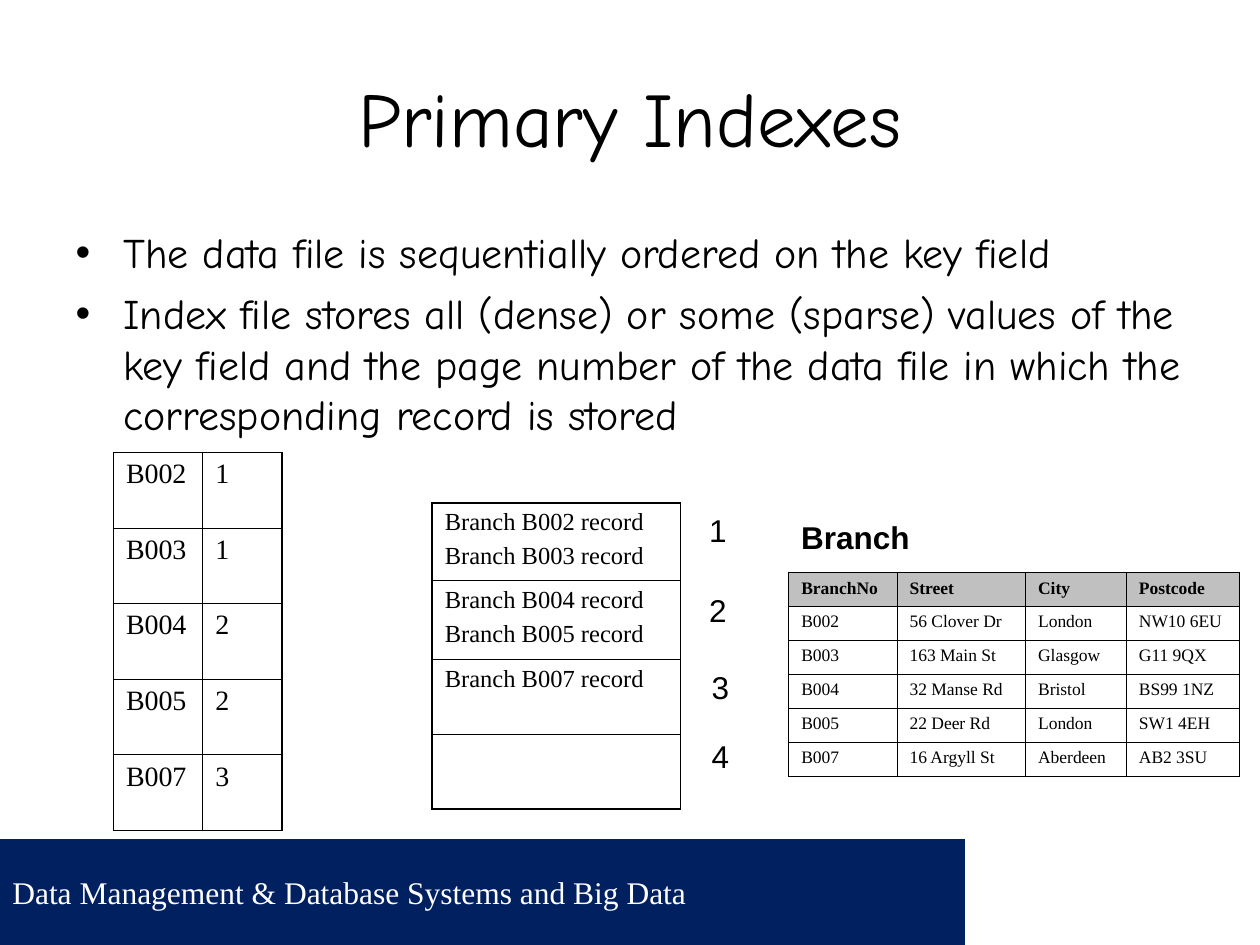
from lxml.etree import SubElement
from pptx import Presentation
from pptx.dml.color import RGBColor
from pptx.enum.shapes import MSO_SHAPE
from pptx.enum.text import MSO_ANCHOR, MSO_AUTO_SIZE, PP_ALIGN
from pptx.oxml.ns import qn
from pptx.util import Inches, Pt

NAVY = RGBColor(0x00, 0x20, 0x60)
WHITE = RGBColor(0xFF, 0xFF, 0xFF)
BLACK = RGBColor(0x00, 0x00, 0x00)
GREY = RGBColor(0xC0, 0xC0, 0xC0)
HEADING_FONT = "Comic Neue"
TABLE_FONT = "Times New Roman"
LABEL_FONT = "Arial"


def format_text(frame, font_name, size, color=BLACK, bold=False, space_before=0):
    for para in frame.paragraphs:
        para.space_before = Pt(space_before)
        for span in para.runs:
            span.font.name = font_name
            span.font.size = Pt(size)
            span.font.bold = bold
            span.font.color.rgb = color


def place(shape, left, top, width, height):
    shape.left, shape.top = Inches(left), Inches(top)
    shape.width, shape.height = Inches(width), Inches(height)


def add_heading(page, left, top, width, height):
    title = page.shapes.title
    place(title, left, top, width, height)
    frame = title.text_frame
    frame.text = "Primary Indexes"
    frame.auto_size = MSO_AUTO_SIZE.NONE
    frame.vertical_anchor = MSO_ANCHOR.MIDDLE
    frame.paragraphs[0].alignment = PP_ALIGN.CENTER
    format_text(frame, HEADING_FONT, 44)


def add_points(page, left, top, width, height):
    body = page.placeholders[1]
    place(body, left, top, width, height)
    frame = body.text_frame
    frame.text = "\n".join([
        "The data file is sequentially ordered on the key field",
        "Index file stores all (dense) or some (sparse) values of the key field "
        "and the page number of the data file in which the corresponding record is stored",
    ])
    frame.auto_size = MSO_AUTO_SIZE.NONE
    format_text(frame, HEADING_FONT, 24, space_before=6)
    for para in frame.paragraphs:
        properties = para._p.get_or_add_pPr()
        properties.set("marL", str(Inches(0.38)))
        properties.set("indent", str(Inches(-0.38)))
        SubElement(properties, qn("a:buFont"), typeface=LABEL_FONT)
        SubElement(properties, qn("a:buChar"), char="•")


def add_block(page, color, left, top, width, height):
    block = page.shapes.add_shape(
        MSO_SHAPE.RECTANGLE, Inches(left), Inches(top), Inches(width), Inches(height))
    block.shadow.inherit = False
    block.fill.solid()
    block.fill.fore_color.rgb = color
    block.line.fill.background()
    frame = block.text_frame
    frame.vertical_anchor = MSO_ANCHOR.MIDDLE
    frame.paragraphs[0].alignment = PP_ALIGN.LEFT
    return frame


def add_footer(page, left, top, width, height):
    frame = add_block(page, NAVY, left, top, width, height)
    frame.text = "Data Management & Database Systems and Big Data"
    frame.paragraphs[0].alignment = PP_ALIGN.LEFT
    format_text(frame, TABLE_FONT, 18, WHITE)
    corner = 2.34
    add_block(page, WHITE, left + width - corner, top, corner, height)


def set_borders(cell, widths):
    properties = cell._tc.get_or_add_tcPr()
    for position, (side, width) in enumerate(zip("LRTB", widths)):
        line = SubElement(properties, qn(f"a:ln{side}"), w=str(Pt(width)))
        fill = SubElement(line, qn("a:solidFill"))
        SubElement(fill, qn("a:srgbClr"), val=str(BLACK))
        properties.insert(position, line)


def add_grid(page, left, top, columns, heights, rows, size,
             space_before=0, inner=0.45, outer=1.08, header=False):
    frame = page.shapes.add_table(
        len(rows), len(columns), Inches(left), Inches(top),
        Inches(sum(columns)), Inches(sum(heights)))
    table = frame.table
    table.first_row = header
    table.horz_banding = False
    for column, width in zip(table.columns, columns):
        column.width = Inches(width)
    last_row, last_column = len(rows) - 1, len(columns) - 1
    for row_index, (values, height) in enumerate(zip(rows, heights)):
        table.rows[row_index].height = Inches(height)
        is_header = header and row_index == 0
        for column_index, value in enumerate(values):
            cell = table.cell(row_index, column_index)
            cell.text = value
            cell.vertical_anchor = MSO_ANCHOR.MIDDLE if is_header else MSO_ANCHOR.TOP
            format_text(cell.text_frame, TABLE_FONT, size,
                        bold=is_header, space_before=space_before)
            if header:
                cell.fill.solid()
                cell.fill.fore_color.rgb = GREY if is_header else WHITE
            else:
                cell.fill.background()
            edges = (column_index == 0, column_index == last_column,
                     row_index == 0, row_index == last_row)
            set_borders(cell, [outer if edge else inner for edge in edges])


def add_index_table(page, left, top):
    rows = [("B002", "1"), ("B003", "1"), ("B004", "2"), ("B005", "2"), ("B007", "3")]
    add_grid(page, left, top, [0.71, 0.63], [0.6] * 5, rows, 16, space_before=4)


def add_data_file(page, left, top):
    pages = [("B002", "B003"), ("B004", "B005"), ("B007",), ()]
    rows = [["\n".join(f"Branch {key} record" for key in keys)] for keys in pages]
    add_grid(page, left, top, [1.97], [0.62, 0.62, 0.6, 0.59], rows, 14, space_before=3.5)
    offsets = [(2.1, 0.02), (2.1, 0.65), (2.12, 1.26), (2.12, 1.81)]
    for number, (across, down) in enumerate(offsets, 1):
        box = page.shapes.add_textbox(
            Inches(left + across), Inches(top + down), Inches(0.34), Inches(0.4))
        box.text_frame.text = str(number)
        box.text_frame.word_wrap = False
        format_text(box.text_frame, LABEL_FONT, 18)


def add_branch_table(page, left, top):
    label = add_block(page, WHITE, left, top, 1.06, 0.4)
    label.text = "Branch"
    label.paragraphs[0].alignment = PP_ALIGN.LEFT
    format_text(label, LABEL_FONT, 18, bold=True)
    rows = [
        ("BranchNo", "Street", "City", "Postcode"),
        ("B002", "56 Clover Dr", "London", "NW10 6EU"),
        ("B003", "163 Main St", "Glasgow", "G11 9QX"),
        ("B004", "32 Manse Rd", "Bristol", "BS99 1NZ"),
        ("B005", "22 Deer Rd", "London", "SW1 4EH"),
        ("B007", "16 Argyll St", "Aberdeen", "AB2 3SU"),
    ]
    add_grid(page, left, top + 0.48, [0.86, 1.02, 0.8, 0.9], [0.27] * 6, rows, 10,
             inner=0.34, outer=0.34, header=True)


deck = Presentation()
deck.slide_width, deck.slide_height = Inches(10), Inches(7.5)
page = deck.slides.add_slide(deck.slide_layouts[1])
add_footer(page, 0, 6.66, 10, 0.84)
add_heading(page, 0.5, 0.3, 9, 1.25)
add_points(page, 0.5, 1.75, 9.15, 1.84)
add_index_table(page, 0.9, 3.59)
add_branch_table(page, 6.26, 4.06)
add_data_file(page, 3.43, 3.99)
deck.save("out.pptx")
